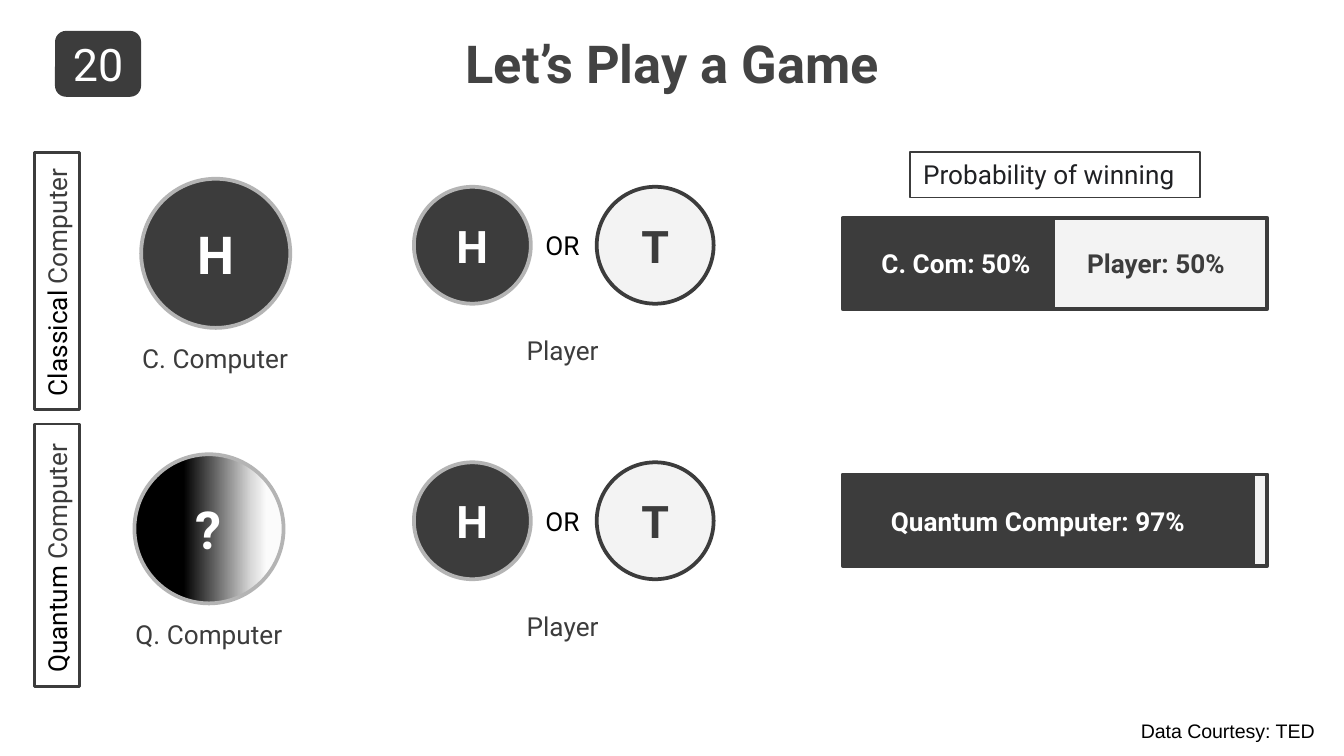
import pptx
import pptx.util
import pptx.dml.color
import pptx.enum.shapes
import pptx.enum.text
import pptx.oxml.ns
from lxml import etree

PX = 9144  # 100 px to the inch
INK = {"dark": "3C3C3C", "pale": "F3F3F3", "ring": "B4B4B4", "title": "434343",
       "black": "000000", "white": "FFFFFF", "note": "202124",
       "fog": "DBDBDB", "snow": "FBFBFB"}
KIND = pptx.enum.shapes.MSO_SHAPE
ALIGN = pptx.enum.text.PP_ALIGN
ANCHOR = pptx.enum.text.MSO_ANCHOR
SIZE = pptx.enum.text.MSO_AUTO_SIZE


def tint(name):
    return pptx.dml.color.RGBColor.from_string(INK[name])


def box(at):
    return [n * PX for n in at]


def write(shape, *runs, size=14, ink="dark", bold=False, font="Roboto",
          mid=False, grow=True, pad=5):
    """Write runs, each a text or a (text, ink) pair, into one paragraph."""
    frame = shape.text_frame
    frame.word_wrap = not grow
    frame.auto_size = SIZE.SHAPE_TO_FIT_TEXT if grow else SIZE.NONE
    frame.vertical_anchor = ANCHOR.MIDDLE if mid else ANCHOR.TOP
    frame.margin_left = frame.margin_right = 10 * PX
    frame.margin_top = frame.margin_bottom = pad * PX
    para = frame.paragraphs[0]
    para.alignment = ALIGN.LEFT if grow else ALIGN.CENTER
    for item in runs:
        text, hue = (item, ink) if isinstance(item, str) else item
        run = para.add_run()
        run.text = text
        run.font.name = font
        run.font.size = pptx.util.Pt(size)
        run.font.bold = bold
        run.font.color.rgb = tint(hue)


def label(slide, at, *runs, **form):
    write(slide.shapes.add_textbox(*box(at)), *runs, **form)


def blend(shape, stops):
    """Fill from left to right with (percent, ink) stops."""
    shape.fill.gradient()
    shape.fill.gradient_angle = 0
    name = pptx.oxml.ns.qn
    chain = shape._element.spPr.find(".//" + name("a:gsLst"))
    for stop in list(chain):
        chain.remove(stop)
    for place, hue in stops:
        stop = etree.SubElement(chain, name("a:gs"), pos=str(place * 1000))
        etree.SubElement(stop, name("a:srgbClr"), val=INK[hue])


def draw(slide, kind, at, fill=None, line=None, width=2):
    """Draw a shape; fill is an ink, a list of stops or None."""
    shape = slide.shapes.add_shape(kind, *box(at))
    shape.shadow.inherit = False
    if isinstance(fill, list):
        blend(shape, fill)
    elif fill:
        shape.fill.solid()
        shape.fill.fore_color.rgb = tint(fill)
    else:
        shape.fill.background()
    if line:
        shape.line.color.rgb = tint(line)
        shape.line.width = pptx.util.Pt(width)
    else:
        shape.line.fill.background()
    return shape


def coin(slide, x, y, side, face, fill="dark", line="ring", ink="white", size=24):
    shape = draw(slide, KIND.OVAL, (x, y, side, side), fill, line)
    write(shape, face, size=size, ink=ink, bold=True, mid=True, grow=False)


def tag(slide, mid, long, word):
    """Draw an upright row name centred on the height mid."""
    at = (42 - long // 2, mid - 17, long, 34)
    shape = draw(slide, KIND.RECTANGLE, at, line="dark", width=1.5)
    shape.rotation = 270
    write(shape, (word + " ", "black"), "Computer")


def game(slide, y, x, name, fill):
    """Draw one round: the machine's coin, then the player's two choices."""
    coin(slide, x, y, 111, "H" if fill == "dark" else "?", fill, size=28)
    label(slide, (x - 9, y + 117, 130, 34), name)
    coin(slide, 308, y + 6, 87, "H")
    label(slide, (396, y + 33, 48, 34), "OR", ink="black")
    coin(slide, 444, y + 6, 87, "T", "pale", "dark", "dark")
    label(slide, (382, y + 111, 77, 34), "Player")


def odds(slide, y, share):
    """Draw a bar with the machine's share in percent."""
    stops = [(0, "dark"), (share, "dark"), (share, "pale")]
    draw(slide, KIND.RECTANGLE, (627, y, 316, 68), stops, "dark")


def main():
    deck = pptx.Presentation()
    deck.slide_width = 1000 * PX
    deck.slide_height = deck.slide_width * 9 // 16
    slide = deck.slides.add_slide(deck.slide_layouts[6])

    label(slide, (215, 13, 570, 103), "Let’s Play a Game", size=28,
          ink="title", bold=True, grow=False, pad=10)
    badge = draw(slide, KIND.ROUNDED_RECTANGLE, (41, 23, 64, 49), "dark")
    write(badge, "20", size=24, ink="white", mid=True, grow=False)

    tag(slide, 209, 191, "Classical")
    game(slide, 133, 105, "C. Computer", "dark")
    tag(slide, 413, 195, "Quantum")
    game(slide, 338, 100, "Q. Computer",
         [(33, "black"), (79, "fog"), (89, "snow")])

    head = draw(slide, KIND.RECTANGLE, (677, 113, 216, 34), line="dark", width=1)
    write(head, "Probability of winning", ink="note")
    odds(slide, 162, 50)
    label(slide, (646, 179, 132, 34), "C. Com: 50%", ink="white", bold=True)
    label(slide, (799, 179, 131, 34), "Player: 50%", bold=True)
    odds(slide, 353, 97)
    label(slide, (653, 371, 250, 34), "Quantum Computer: 97%", ink="white", bold=True)

    label(slide, (839, 530, 152, 28), "Data Courtesy: TED", size=10.5,
          ink="black", font="Arial")
    deck.save("out.pptx")


if __name__ == "__main__":
    main()
